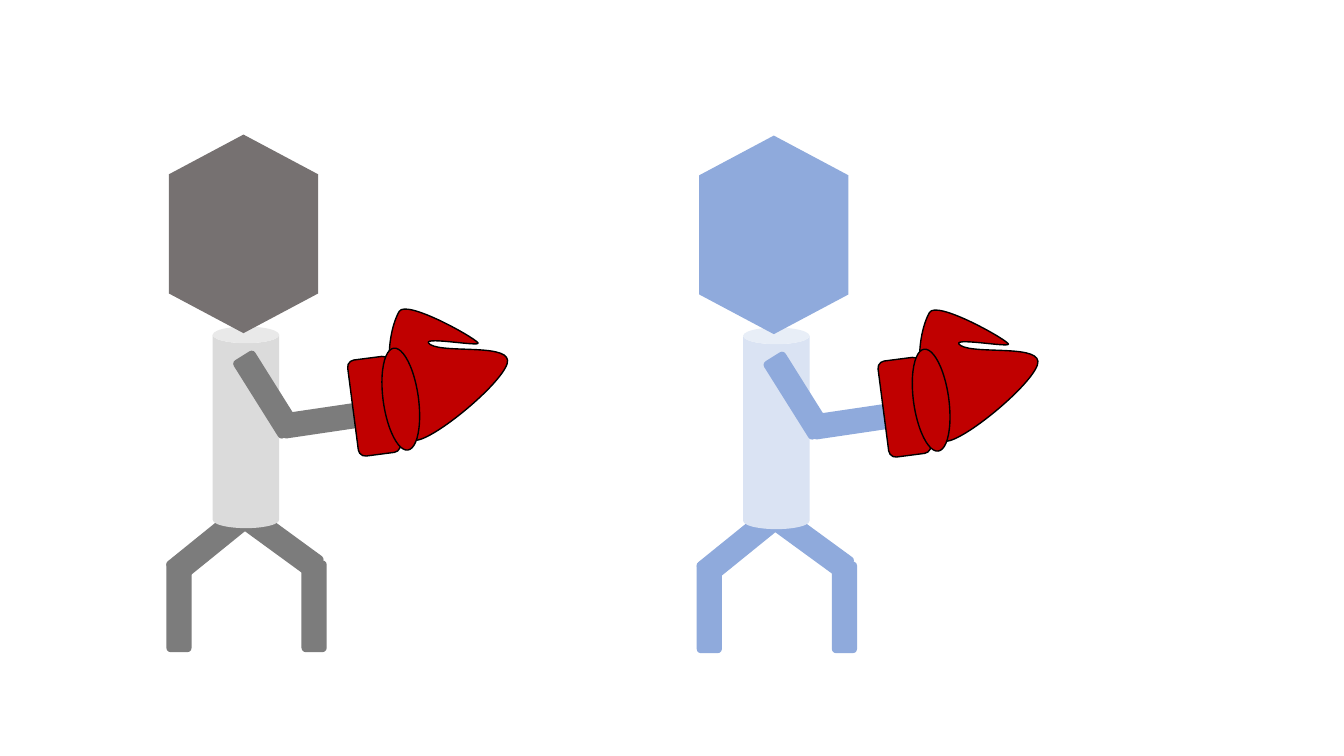
from dataclasses import dataclass

from lxml import etree
from pptx import Presentation
from pptx.dml.color import RGBColor
from pptx.enum import shapes
from pptx.oxml.ns import qn
from pptx.util import Inches, Pt


@dataclass(frozen=True)
class Theme:
    glove: str = "C00000"
    outline: str = "000000"
    outline_width: float = 1
    gray: tuple = ("7C7C7C", "DBDBDB", "767171")  # limbs, torso, head
    blue: tuple = ("8FAADC", "DAE3F3", "8FAADC")


theme = Theme()
SHAPE = shapes.MSO_SHAPE
LIMB = (0.91, 0.25)

# Glove hand: start point, then cubic curves (two controls and an end)
HAND_START = (3.87, 3.67)
HAND_CURVES = [
    ((3.84, 3.45), (3.89, 3.21), (3.96, 3.09)),
    ((4.03, 2.97), (4.69, 3.34), (4.74, 3.40)),
    ((4.79, 3.45), (4.12, 3.32), (4.27, 3.42)),
    ((4.43, 3.51), (5.10, 3.40), (5.03, 3.61)),
    ((4.96, 3.82), (4.31, 4.36), (4.12, 4.37)),
    ((3.93, 4.38), (3.89, 3.88), HAND_START),
]


def paint(shape, color, outlined=False):
    shape.shadow.inherit = False
    shape.fill.solid()
    shape.fill.fore_color.rgb = RGBColor.from_string(color)
    if outlined:
        shape.line.color.rgb = RGBColor.from_string(theme.outline)
        shape.line.width = Pt(theme.outline_width)
    else:
        shape.line.fill.background()


def add_curved_shape(slide, left, top, width, height, start, curves, dx, dy):
    # The diagonal of the frame sets the size; curves then replace it
    builder = slide.shapes.build_freeform(Inches(left + dx), Inches(top + dy))
    builder.add_line_segments([(Inches(left + width + dx), Inches(top + height + dy))])
    shape = builder.convert_to_shape()
    outline = next(shape.element.iter(qn("a:path")))
    for segment in list(outline):
        outline.remove(segment)
    for tag, points in [("a:moveTo", [start])] + [("a:cubicBezTo", c) for c in curves]:
        segment = etree.SubElement(outline, qn(tag))
        for x, y in points:
            point = etree.SubElement(segment, qn("a:pt"))
            point.set("x", str(int(Inches(x - left))))
            point.set("y", str(int(Inches(y - top))))
    etree.SubElement(outline, qn("a:close"))
    return shape


presentation = Presentation()
presentation.slide_width = Inches(13.33)
presentation.slide_height = Inches(7.5)
slide = presentation.slides.add_slide(presentation.slide_layouts[6])

# Two boxers, the second one shifted to the right
for dx, dy, (limb, torso, head) in [(0, 0, theme.gray), (5.26, 0.01, theme.blue)]:
    # Legs, torso, arm and head, from back to front, then the glove
    for kind, left, top, (width, height), rotation, color in [
        (SHAPE.ROUNDED_RECTANGLE, 2.66, 5.89, LIMB, 90, limb),
        (SHAPE.ROUNDED_RECTANGLE, 1.32, 5.89, LIMB, 90, limb),
        (SHAPE.ROUNDED_RECTANGLE, 1.61, 5.28, LIMB, 321, limb),
        (SHAPE.ROUNDED_RECTANGLE, 2.33, 5.25, LIMB, 36.1, limb),
        (SHAPE.CAN, 2.11, 3.24, (0.66, 2), 0, torso),
        (SHAPE.ROUNDED_RECTANGLE, 2.78, 4.04, LIMB, 351.6, limb),
        (SHAPE.FLOWCHART_PREPARATION, 1.43, 1.58, (1.97, 1.48), 270, head),
        (SHAPE.ROUNDED_RECTANGLE, 2.19, 3.79, LIMB, 57.9, limb),
        (None, 3.86, 3.07, (1.17, 1.3), 0, theme.glove),
        (SHAPE.ROUNDED_RECTANGLE, 3.5, 3.55, (0.42, 0.96), 352.6, theme.glove),
        (SHAPE.OVAL, 3.8, 3.45, (0.35, 1.02), 352.1, theme.glove),
    ]:
        if kind is None:
            shape = add_curved_shape(
                slide, left, top, width, height, HAND_START, HAND_CURVES, dx, dy
            )
        else:
            shape = slide.shapes.add_shape(
                kind, Inches(left + dx), Inches(top + dy), Inches(width), Inches(height)
            )
            shape.rotation = rotation
        paint(shape, color, outlined=color == theme.glove)

presentation.save("out.pptx")
